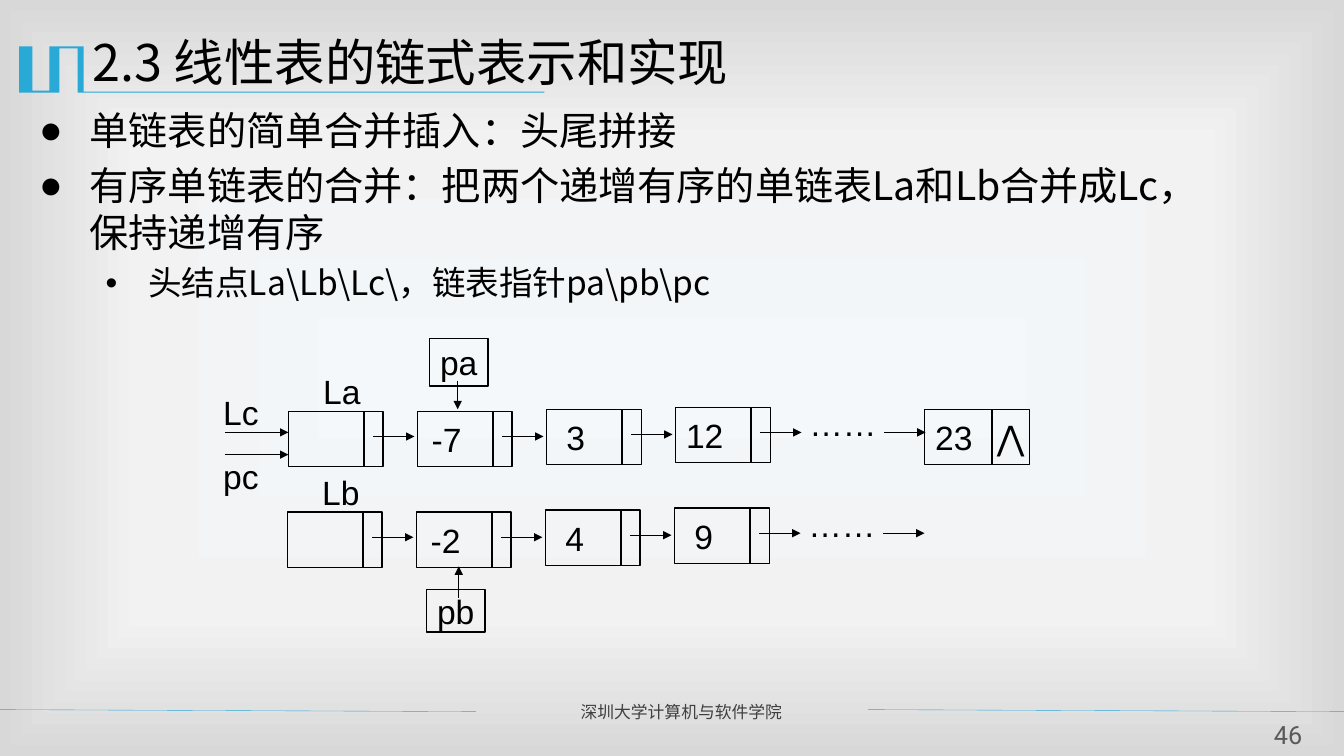
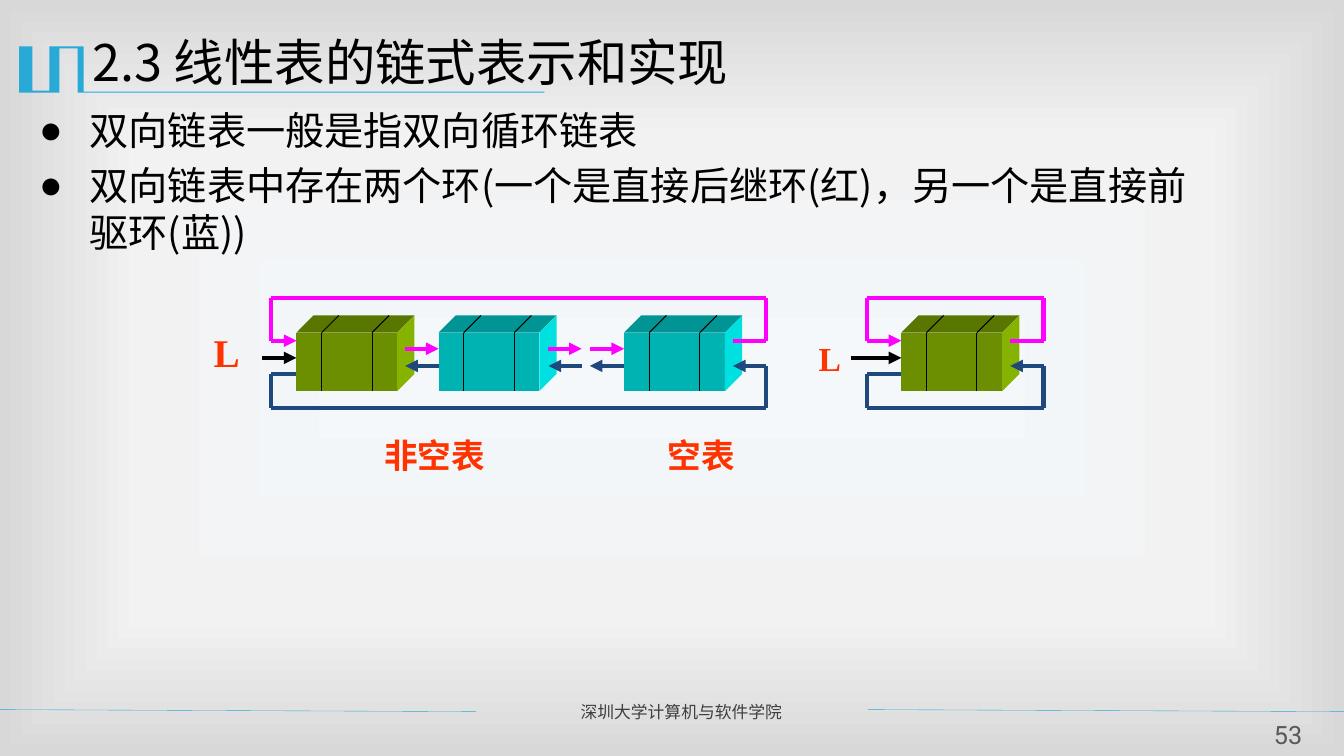
"""Build two slides on linked lists: merging ordered lists and the doubly linked ring."""
from dataclasses import dataclass
from itertools import pairwise

from lxml.etree import SubElement
from pptx import Presentation
from pptx.dml.color import RGBColor
from pptx.enum.shapes import MSO_CONNECTOR as LINK, MSO_SHAPE as SHAPE
from pptx.enum.text import MSO_ANCHOR as ANCHOR, PP_ALIGN as ALIGN
from pptx.oxml.ns import qn
from pptx.util import Inches, Pt


@dataclass(frozen=True)
class Theme:
    accent: str = "28A9D6"
    ink: str = "000000"
    footer: str = "3F3F3F"
    number: str = "595959"
    label: str = "FF3300"
    successor: str = "FF00FF"
    predecessor: str = "1F497D"
    head_faces: tuple = ("6B8F00", "597700", "86B300")
    item_faces: tuple = ("00B3B3", "009494", "00E0E0")
    backdrop: tuple = ((0, "F4F8FB"), (63, "F2F2F2"), (100, "D8D8D8"))
    cjk: str = "Noto Sans CJK SC"
    sans: str = "Roboto"
    diagram: str = "Arial"
    serif: str = "Times New Roman"
    title_size: int = 36
    body_size: int = 28
    detail_size: int = 24
    number_size: int = 18
    footer_size: int = 12


THEME = Theme()
TITLE = "2.3 线性表的链式表示和实现"
FOOTER = "深圳大学计算机与软件学院"
LINE_PITCH = 1.2

MERGE_POINTS = [
    (0, "单链表的简单合并插入：头尾拼接"),
    (0, "有序单链表的合并：把两个递增有序的单链表La和Lb合并成Lc，保持递增有序"),
    (1, "头结点La\\Lb\\Lc\\，链表指针pa\\pb\\pc"),
]
RING_POINTS = [
    (0, "双向链表一般是指双向循环链表"),
    (0, "双向链表中存在两个环(一个是直接后继环(红)，另一个是直接前驱环(蓝))"),
]
LEVELS = [("●", 0.5, 0.5, THEME.body_size), ("•", 1.08, 0.42, THEME.detail_size)]

EMBLEM = [
    (0.82, 0.46), (0.83, 0.46), (0.83, 0.91), (5.4, 0.91), (5.4, 0.92), (0.77, 0.92),
    (0.77, 0.48), (0.59, 0.48), (0.59, 0.92), (0.19, 0.92), (0.19, 0.46),
    (0.32, 0.46), (0.32, 0.9), (0.49, 0.9), (0.49, 0.46),
]
FOOTER_RULES = [(-0.01, 4.72), (8.61, 13.33)]

CHAINS = [
    ("La", 2.86, 4.08, ["", "-7", "3", "12"]),
    ("Lb", 2.85, 5.08, ["", "-2", "4", "9"]),
]
NODE_RISE = [0, 0, 0.02, 0.04]
NODE_STEP, NODE_W, NODE_H, DATA_W = 1.28, 0.94, 0.55, 0.75
POINTERS = [
    ("pa", (4.26, 3.36, 0.58, 0.47), [(4.54, 3.78), (4.54, 4.06)]),
    ("pb", (4.23, 5.85, 0.58, 0.42), [(4.55, 5.93), (4.55, 5.62)]),
]
RESULT_POINTERS = [("Lc", 3.88, 4.29), ("pc", 4.51, 4.51)]

CUBE_W, CUBE_TOP, CUBE_H, DEPTH = 1, 3.3, 0.58, 0.17
CUBES = [
    (2.94, THEME.head_faces), (4.35, THEME.item_faces),
    (6.19, THEME.item_faces), (8.94, THEME.head_faces),
]
RINGS = [
    {"first": 2.94, "last": 6.19, "left": 2.69, "entry": 2.6, "label": (2.02, 3.21, 28)},
    {"first": 8.94, "last": 8.94, "left": 8.6, "entry": 8.44, "label": (8.02, 3.3, 24)},
]
NEIGHBOUR_LINKS = [(4.02, 4.35), (5.44, 5.77), (5.85, 6.19)]
CAPTIONS = [("非空表", 3.69), ("空表", 6.5)]


def rgb(value):
    return RGBColor.from_string(value)


def write(paragraph, text, size, font, color=THEME.ink, bold=False):
    run = paragraph.add_run()
    run.text = text
    run.font.size = Pt(size)
    run.font.name = font
    run.font.bold = bold
    run.font.color.rgb = rgb(color)
    SubElement(run.font._element, qn("a:ea")).set("typeface", THEME.cjk)


def set_frame(frame, anchor, margins, wrap=True):
    frame.word_wrap = wrap
    frame.vertical_anchor = anchor
    frame.margin_left, frame.margin_top, frame.margin_right, frame.margin_bottom = map(Inches, margins)


def add_text(slide, box, text, size, font, color=THEME.ink, bold=False, align=ALIGN.CENTER,
             anchor=ANCHOR.MIDDLE, margins=(0, 0, 0, 0), wrap=True):
    frame = slide.shapes.add_textbox(*map(Inches, box)).text_frame
    set_frame(frame, anchor, margins, wrap)
    paragraph = frame.paragraphs[0]
    paragraph.alignment = align
    write(paragraph, text, size, font, color, bold)
    return paragraph


def add_path(slide, points, color=THEME.ink, width=1, arrow=False):
    for start, end in pairwise(points):
        segment = slide.shapes.add_connector(LINK.STRAIGHT, *map(Inches, start + end))
        segment.line.color.rgb = rgb(color)
        segment.line.width = Pt(width)
        SubElement(segment._element.spPr, qn("a:effectLst"))
    if arrow:
        SubElement(segment.line._get_or_add_ln(), qn("a:tailEnd")).set("type", "triangle")


def add_outline(slide, points, color):
    corners = [tuple(map(Inches, point)) for point in points]
    builder = slide.shapes.build_freeform(*corners[0], scale=1.0)
    builder.add_line_segments(corners[1:], close=True)
    outline = builder.convert_to_shape()
    outline.fill.solid()
    outline.fill.fore_color.rgb = rgb(color)
    outline.line.fill.background()
    outline.shadow.inherit = False


def add_cell(slide, box, text="", right=0):
    cell = slide.shapes.add_shape(SHAPE.RECTANGLE, *map(Inches, box))
    cell.fill.background()
    cell.line.color.rgb = rgb(THEME.ink)
    cell.line.width = Pt(1)
    cell.shadow.inherit = False
    if text:
        set_frame(cell.text_frame, ANCHOR.MIDDLE, (0, 0, right, 0))
        paragraph = cell.text_frame.paragraphs[0]
        paragraph.alignment = ALIGN.CENTER
        write(paragraph, text, THEME.detail_size, THEME.diagram)


def paint_backdrop(slide):
    fill = slide.background.fill
    fill.gradient()
    gradient = slide.background._cSld.find(".//" + qn("a:gradFill"))
    for child in list(gradient):
        gradient.remove(child)
    stops = SubElement(gradient, qn("a:gsLst"))
    for position, color in THEME.backdrop:
        stop = SubElement(stops, qn("a:gs"), pos=str(position * 1000))
        SubElement(stop, qn("a:srgbClr"), val=color)
    route = SubElement(gradient, qn("a:path"), {"path": "rect"})
    SubElement(route, qn("a:fillToRect"), {side: "50000" for side in "ltrb"})


def add_points(slide, points):
    frame = slide.shapes.add_textbox(*map(Inches, (0.29, 1.01, 11.9, 5.6))).text_frame
    set_frame(frame, ANCHOR.TOP, (0.1, 0.05, 0.1, 0.05))
    for index, (level, text) in enumerate(points):
        bullet, margin, hang, size = LEVELS[level]
        paragraph = frame.paragraphs[0] if index == 0 else frame.add_paragraph()
        properties = paragraph._p.get_or_add_pPr()
        properties.set("marL", str(Inches(margin)))
        properties.set("indent", str(-Inches(hang)))
        SubElement(properties, qn("a:buFont")).set("typeface", THEME.diagram)
        SubElement(properties, qn("a:buChar")).set("char", bullet)
        paragraph.level = level
        paragraph.line_spacing = Pt(size * LINE_PITCH)
        paragraph.space_before = Pt(size * 0.2 if index else 0)
        write(paragraph, text, size, THEME.cjk)


def add_slide(deck, number, points):
    slide = deck.slides.add_slide(deck.slide_layouts[6])
    paint_backdrop(slide)
    add_outline(slide, EMBLEM, THEME.accent)
    for left, right in FOOTER_RULES:
        add_path(slide, [(left, 7.04), (right, 7.06)], THEME.accent, 0.25)
    add_text(slide, (5.66, 6.91, 2.85, 0.3), FOOTER, THEME.footer_size, THEME.sans,
             THEME.footer, align=ALIGN.LEFT, margins=(0.1, 0, 0.1, 0))
    add_points(slide, points)
    title = add_text(slide, (0.82, 0.26, 12, 0.87), TITLE, THEME.title_size, THEME.cjk,
                     align=ALIGN.LEFT, anchor=ANCHOR.TOP, margins=(0.1, 0.05, 0.1, 0.05))
    title.line_spacing = Pt(THEME.title_size * LINE_PITCH)
    add_text(slide, (12.48, 7.13, 0.59, 0.31), number, THEME.number_size, THEME.sans, THEME.number)
    return slide


def add_label(slide, box, text):
    add_text(slide, box, text, THEME.detail_size, THEME.diagram)


def add_node(slide, left, top, value, width=NODE_W, data_width=DATA_W):
    add_cell(slide, (left, top, width, NODE_H), value, width - 0.58)
    divider = left + data_width
    add_path(slide, [(divider, top), (divider, top + NODE_H)])


def draw_merge(slide):
    for name, start, base, values in CHAINS:
        add_label(slide, (start + 0.07, base - 0.45, 0.92, 0.5), name)
        for index, value in enumerate(values):
            left, top = start + index * NODE_STEP, base - NODE_RISE[index]
            add_node(slide, left, top, value)
            add_path(slide, [(left + 0.84, top + 0.25), (left + 1.25, top + 0.25)], arrow=True)
        add_label(slide, (start + 5.04, base - 0.16, 0.92, NODE_H), "……")
        add_path(slide, [(start + 5.91, base + 0.21), (start + 6.32, base + 0.21)], arrow=True)
    add_node(slide, 9.17, 4.06, "23", 1.04, 0.67)
    add_label(slide, (9.84, 4.06, 0.37, NODE_H), "⋀")
    for name, box, arrow in POINTERS:
        add_cell(slide, box, name)
        add_path(slide, arrow, arrow=True)
    for name, top, level in RESULT_POINTERS:
        add_label(slide, (2.1, top, 0.58, 0.42), name)
        add_path(slide, [(2.23, level), (2.86, level)], arrow=True)


def add_cube(slide, left, faces):
    right, bottom, back = left + CUBE_W, CUBE_TOP + CUBE_H, CUBE_TOP - DEPTH
    front, lid, side = faces
    add_outline(slide, [(left, CUBE_TOP), (right, CUBE_TOP), (right, bottom), (left, bottom)], front)
    add_outline(slide, [(left, CUBE_TOP), (left + DEPTH, back), (right + DEPTH, back),
                        (right, CUBE_TOP)], lid)
    add_outline(slide, [(right, CUBE_TOP), (right + DEPTH, back), (right + DEPTH, bottom - DEPTH),
                        (right, bottom)], side)
    for divider in (left + CUBE_W / 4, left + CUBE_W * 3 / 4):
        add_path(slide, [(divider, bottom), (divider, CUBE_TOP), (divider + DEPTH, back)], width=0.75)


def draw_rings(slide):
    for left, faces in CUBES:
        add_cube(slide, left, faces)
    for ring in RINGS:
        first, left = ring["first"], ring["left"]
        port, right = ring["last"] + 1.08, ring["last"] + 1.41
        add_path(slide, [(ring["entry"], 3.55), (first, 3.55)], width=3, arrow=True)
        add_path(slide, [(first, 3.71), (left, 3.71), (left, 4.05), (right, 4.05), (right, 3.63),
                         (port, 3.63)], THEME.predecessor, 3, True)
        add_path(slide, [(port, 3.38), (right, 3.38), (right, 2.96), (left, 2.96), (left, 3.38),
                         (first, 3.38)], THEME.successor, 3, True)
        x, y, size = ring["label"]
        add_text(slide, (x, y, 0.46, size / 50), "L", size, THEME.serif, THEME.label, True,
                 ALIGN.LEFT, ANCHOR.TOP, (0.1, 0.05, 0.1, 0.05), False)
    for start, end in NEIGHBOUR_LINKS:
        add_path(slide, [(start, 3.46), (end, 3.46)], THEME.successor, 3, True)
        add_path(slide, [(end, 3.63), (start, 3.63)], THEME.predecessor, 3, True)
    for caption, left in CAPTIONS:
        add_text(slide, (left, 4.25, 1.3, 0.53), caption, THEME.detail_size, THEME.cjk, THEME.label,
                 True, ALIGN.LEFT, margins=(0.12, 0.06, 0.12, 0.06), wrap=False)


def main():
    deck = Presentation()
    deck.slide_width, deck.slide_height = Inches(13.33), Inches(7.5)
    draw_merge(add_slide(deck, "46", MERGE_POINTS))
    draw_rings(add_slide(deck, "53", RING_POINTS))
    deck.save("out.pptx")


if __name__ == "__main__":
    main()
